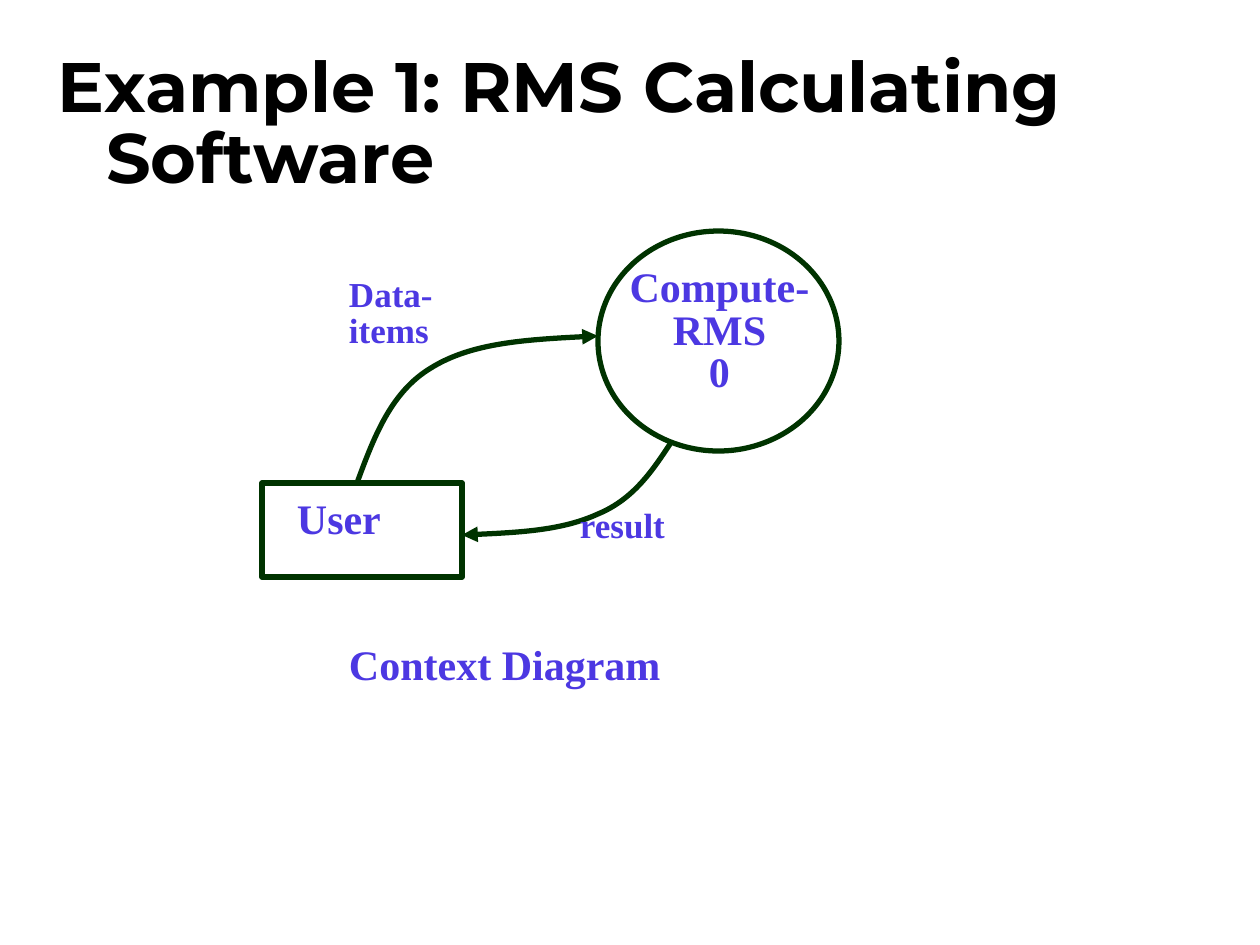
from pptx import Presentation
from pptx.dml.color import RGBColor
from pptx.enum.shapes import MSO_SHAPE
from pptx.enum.text import MSO_ANCHOR, MSO_AUTO_SIZE, PP_ALIGN
from pptx.oxml.ns import qn
from pptx.util import Pt
from lxml import etree

PX = 914400 / 126
ELLIPSE, BOX = MSO_SHAPE.OVAL, MSO_SHAPE.ROUNDED_RECTANGLE
TOP, MIDDLE = MSO_ANCHOR.TOP, MSO_ANCHOR.MIDDLE
NO_FIT = MSO_AUTO_SIZE.NONE
LEFT, CENTER = PP_ALIGN.LEFT, PP_ALIGN.CENTER
COLORS = {"title": "000000", "text": "4C38E2", "line": "003300"}
TITLE_FONT, BODY_FONT = "Montserrat", "Times New Roman"


def emu(*px):
    return [round(v * PX) for v in px]


def rgb(name):
    return RGBColor.from_string(COLORS[name])


class Diagram:
    def __init__(self, slide):
        self.slide = slide

    def add_text(self, sp, lines, size, before, font=BODY_FONT, color="text",
                 align=LEFT, anchor=TOP):
        tf = sp.text_frame
        tf.word_wrap = True
        tf.auto_size = NO_FIT
        tf.vertical_anchor = anchor
        tf.margin_left, tf.margin_right = emu(3, 3)
        tf.margin_top, tf.margin_bottom = emu(6, 6)
        p = tf.paragraphs[0]
        p.alignment = align
        p.line_spacing = 0.85
        p.space_before = Pt(before)
        for i, line in enumerate(lines):
            if i:
                p.add_line_break()
            r = p.add_run()
            r.text = line
            r.font.name = font
            r.font.size = Pt(size)
            r.font.bold = True
            r.font.color.rgb = rgb(color)
        return p

    def title(self, text, *at):
        sp = self.slide.shapes.title
        sp.left, sp.top, sp.width, sp.height = emu(*at)
        p = self.add_text(sp, [text], 40, 10, TITLE_FONT, "title", anchor=MIDDLE)
        hang, = emu(48)
        pPr = p._p.get_or_add_pPr()
        pPr.set("marL", str(hang))
        pPr.set("indent", str(-hang))

    def label(self, lines, at, size=24, align=LEFT):
        sp = self.slide.shapes.add_textbox(*emu(*at))
        self.add_text(sp, lines, size, round(size * 0.575, 1), align=align)

    def outline(self, sp):
        sp.shadow.inherit = False
        sp.fill.background()
        sp.line.color.rgb = rgb("line")
        sp.line.width = Pt(3)

    def node(self, kind, *at):
        sp = self.slide.shapes.add_shape(kind, *emu(*at))
        self.outline(sp)
        return sp

    def flow(self, start, *points):
        fb = self.slide.shapes.build_freeform(*emu(*start), scale=1.0)
        fb.add_line_segments([emu(*pt) for pt in points], close=False)
        sp = fb.convert_to_shape()
        self.outline(sp)
        lines = list(sp._element.iter(qn("a:lnTo")))
        for i in range(0, len(lines), 3):
            curve = etree.Element(qn("a:cubicBezTo"))
            lines[i].addprevious(curve)
            for ln in lines[i:i + 3]:
                curve.append(ln[0])
                ln.getparent().remove(ln)
        ln = sp._element.spPr.find(qn("a:ln"))
        etree.SubElement(ln, qn("a:tailEnd"), type="triangle")


def main():
    prs = Presentation()
    prs.slide_width, prs.slide_height = emu(1260, 945)
    d = Diagram(prs.slides.add_slide(prs.slide_layouts[5]))

    d.title("Example 1: RMS Calculating Software", 55, 37, 1071, 179)
    d.node(ELLIPSE, 598, 231, 241, 220)
    d.label(["Compute- RMS", "0"], (620, 262, 199, 164), align=CENTER)
    user = d.node(BOX, 262, 483, 200, 94)
    user.adjustments[0] = 0
    d.label(["User"], (294, 494, 189, 63))

    d.flow((357, 483), (374, 437), (391, 392), (431, 368),
           (471, 343), (534, 339), (598, 336))
    d.flow((672, 441), (653, 470), (634, 499), (598, 514),
           (563, 530), (513, 533), (462, 535))

    d.label(["Data-items"], (346, 273, 167, 97), 20)
    d.label(["result"], (577, 504, 126, 54), 20)
    d.label(["Context Diagram"], (346, 640, 609, 63))
    prs.save("out.pptx")


if __name__ == "__main__":
    main()
